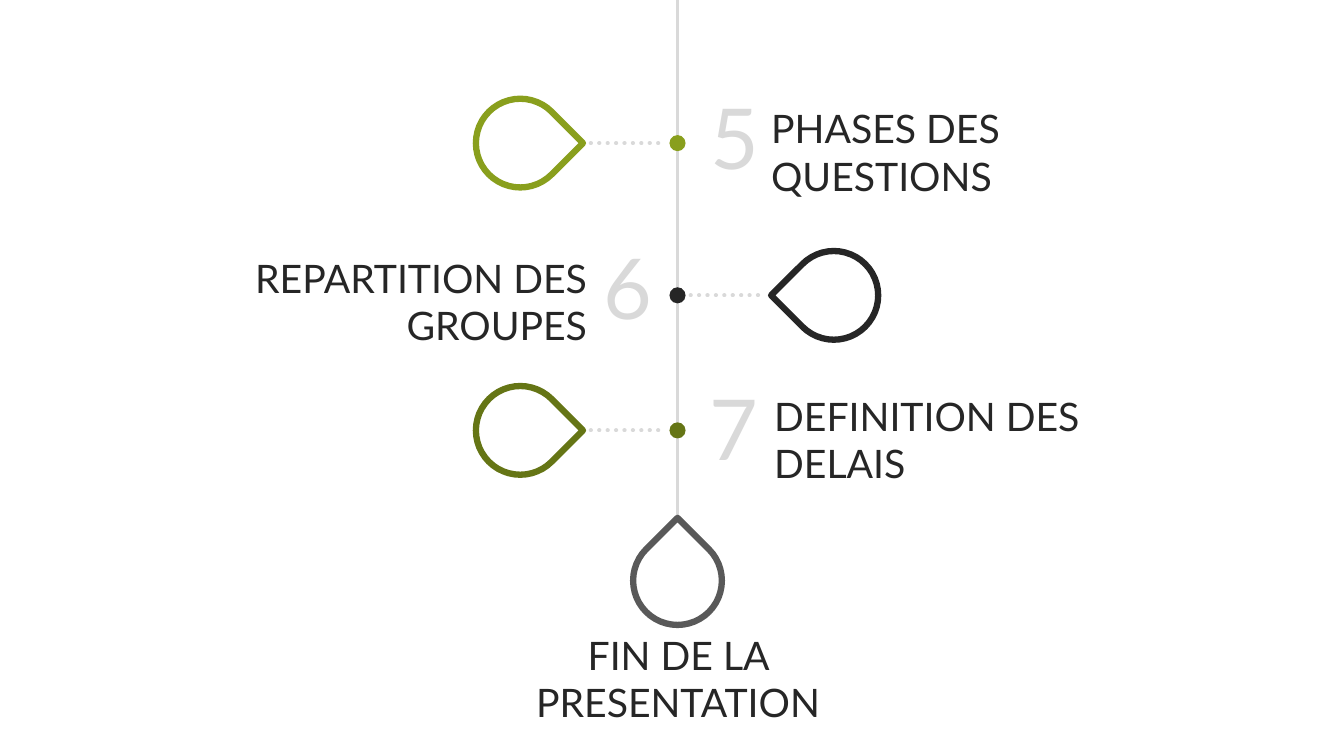
from dataclasses import dataclass

from lxml.etree import SubElement
from pptx import Presentation
from pptx.dml.color import RGBColor
from pptx.enum.dml import MSO_LINE
from pptx.enum.shapes import MSO_CONNECTOR, MSO_SHAPE
from pptx.enum.text import MSO_AUTO_SIZE, PP_ALIGN
from pptx.oxml.ns import qn
from pptx.util import Inches, Pt

# Colours
PALE = RGBColor(0xD9, 0xD9, 0xD9)
LIME = RGBColor(0x89, 0x9F, 0x1D)
OLIVE = RGBColor(0x65, 0x75, 0x15)
DARK = RGBColor(0x26, 0x26, 0x26)
GRAY = RGBColor(0x59, 0x59, 0x59)

# Layout in inches
AXIS = 6.72
DROP = 0.88
DOT = 0.16
NEAR, FAR = 0.13, 0.86  # ends of a dotted link, from the axis


@dataclass
class Step:
    digit: str
    title: str
    color: RGBColor
    mid: float
    side: int  # side of the drop: -1 left, 1 right
    hub: float  # centre of the drop
    num_at: tuple[float, float]
    text_at: tuple[float, float]


STEPS = [
    Step("5", "PHASES DES QUESTIONS", LIME, 1.42, -1, 5.16, (6.95, 0.8), (7.55, 0.99)),
    Step("6", "REPARTITION DES GROUPES", DARK, 2.93, 1, 8.27, (5.89, 2.29), (1.71, 2.47)),
    Step("7", "DEFINITION DES DELAIS", OLIVE, 4.27, -1, 5.16, (6.94, 3.69), (7.58, 3.84)),
]

# Text formats
NUM = {"name": "Lato", "size": Pt(60)}
TITLE = {"name": "Lato", "size": Pt(28)}
FRAME = {"word_wrap": True, "auto_size": MSO_AUTO_SIZE.SHAPE_TO_FIT_TEXT}


def apply(target: object, values: dict) -> None:
    for key, value in values.items():
        setattr(target, key, value)


def add_line(shapes, start: tuple, end: tuple, width: float, dotted: bool = False) -> None:
    link = shapes.add_connector(MSO_CONNECTOR.STRAIGHT, *map(Inches, start + end))
    link.line.color.rgb = PALE
    link.line.width = Pt(width)
    if dotted:
        link.line.dash_style = MSO_LINE.ROUND_DOT
        link.line._get_or_add_ln().set("cap", "rnd")
    SubElement(link._element.spPr, qn("a:effectLst"))


def add_mark(shapes, kind: MSO_SHAPE, x: float, y: float, size: float):
    box = (x - size / 2, y - size / 2, size, size)
    mark = shapes.add_shape(kind, *map(Inches, box))
    mark.shadow.inherit = False
    return mark


def add_drop(shapes, x: float, y: float, turn: float, color: RGBColor) -> None:
    drop = add_mark(shapes, MSO_SHAPE.TEAR, x, y, DROP)
    drop.rotation = turn
    drop.fill.background()
    drop.line.color.rgb = color
    drop.line.width = Pt(4.5)


def add_dot(shapes, y: float, color: RGBColor) -> None:
    dot = add_mark(shapes, MSO_SHAPE.OVAL, AXIS, y, DOT)
    dot.fill.solid()
    dot.fill.fore_color.rgb = color
    dot.line.fill.background()


def add_text(shapes, text: str, at: tuple, size: tuple, style: dict,
             color: RGBColor, align: PP_ALIGN = PP_ALIGN.LEFT) -> None:
    frame = shapes.add_textbox(*map(Inches, at + size)).text_frame
    apply(frame, FRAME)
    para = frame.paragraphs[0]
    para.alignment = align
    run = para.add_run()
    run.text = text
    apply(run.font, style)
    run.font.color.rgb = color


def add_title(shapes, text: str, at: tuple, align: PP_ALIGN) -> None:
    add_text(shapes, text, at, (4.21, 1.04), TITLE, DARK, align)


def add_step(shapes, step: Step) -> None:
    ends = sorted(AXIS + step.side * gap for gap in (NEAR, FAR))
    add_line(shapes, (ends[0], step.mid), (ends[1], step.mid), 3, True)
    left = step.side < 0
    add_drop(shapes, step.hub, step.mid, 45 if left else 225, step.color)
    add_dot(shapes, step.mid, step.color)
    add_text(shapes, step.digit, step.num_at, (0.54, 1.11), NUM, PALE)
    add_title(shapes, step.title, step.text_at, PP_ALIGN.LEFT if left else PP_ALIGN.RIGHT)


def main() -> None:
    deck = Presentation()
    deck.slide_width, deck.slide_height = Inches(13.33), Inches(7.5)
    shapes = deck.slides.add_slide(deck.slide_layouts[6]).shapes

    # Time line and its steps
    add_line(shapes, (AXIS, 0), (AXIS, 5.14), 2.25)
    for step in STEPS:
        add_step(shapes, step)

    # Closing drop
    add_drop(shapes, AXIS, 5.76, 315, GRAY)
    add_title(shapes, "FIN DE LA PRESENTATION", (4.62, 6.21), PP_ALIGN.CENTER)

    deck.save("out.pptx")


if __name__ == "__main__":
    main()
